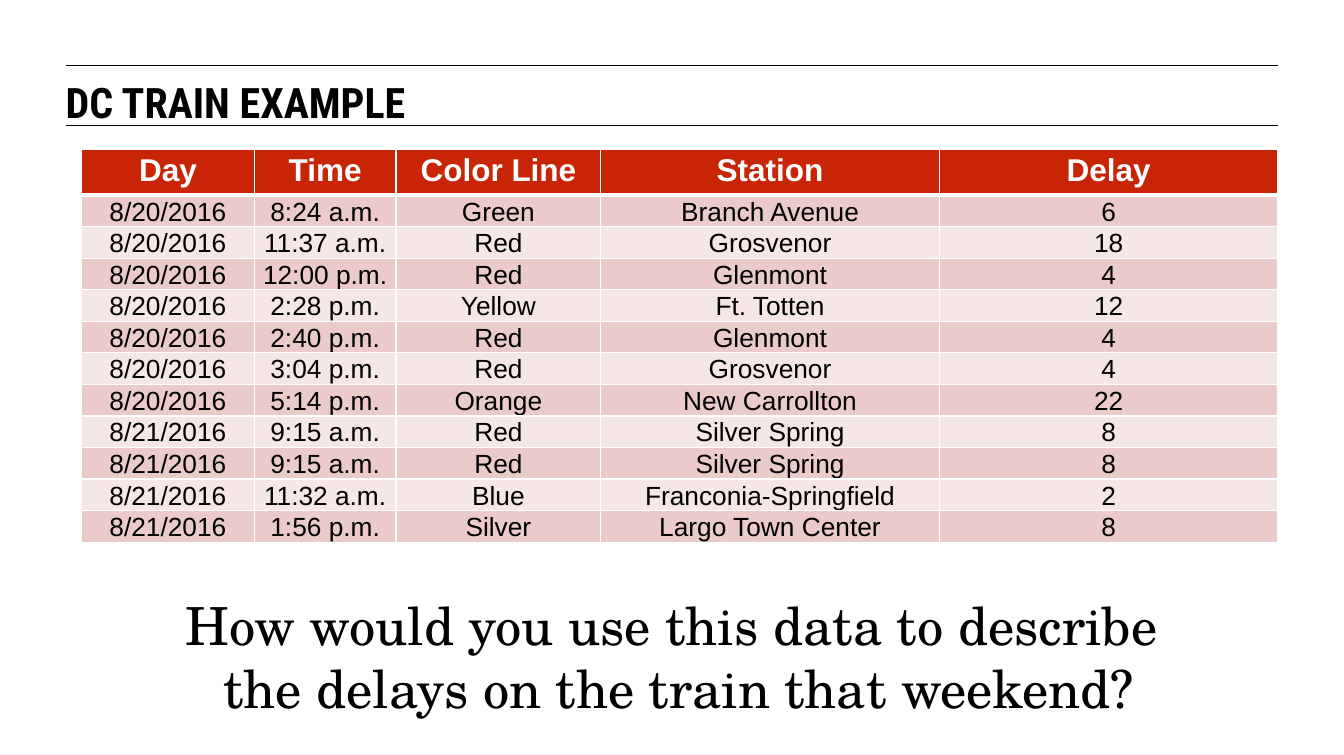
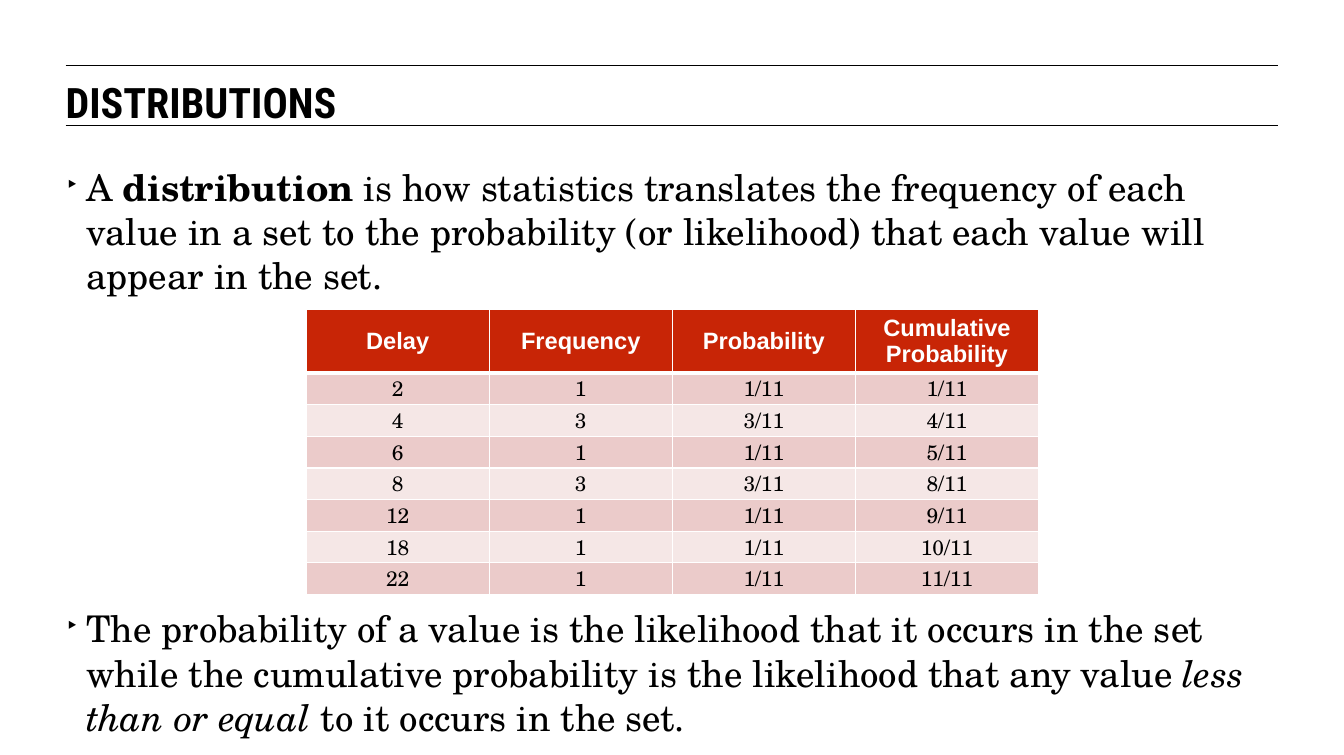
from lxml import etree
from pptx import Presentation
from pptx.dml.color import RGBColor
from pptx.enum.shapes import MSO_CONNECTOR
from pptx.enum.text import MSO_ANCHOR, PP_ALIGN
from pptx.oxml.ns import qn
from pptx.util import Pt

LEFT, CENTER = PP_ALIGN.LEFT, PP_ALIGN.CENTER
TOP, MIDDLE, BOTTOM = MSO_ANCHOR.TOP, MSO_ANCHOR.MIDDLE, MSO_ANCHOR.BOTTOM
STRAIGHT = MSO_CONNECTOR.STRAIGHT

COLORS = {"ink": "000000", "paper": "FFFFFF", "header": "C82506",
          "band_dark": "EBCBCA", "band_light": "F5E7E6"}
TITLE_FONT, TABLE_FONT, BODY_FONT = "Roboto Condensed", "Arial", "TeX Gyre Schola"

SLIDE_W, SLIDE_H = 1024, 575.5
MARGIN, CONTENT_W = 50, 924
RULES_Y = (50, 96)
TITLE_Y, TITLE_H = 58.5, 34

DELAYS = [
    ("Day", "Time", "Color Line", "Station", "Delay"),
    ("8/20/2016", "8:24 a.m.", "Green", "Branch Avenue", "6"),
    ("8/20/2016", "11:37 a.m.", "Red", "Grosvenor", "18"),
    ("8/20/2016", "12:00 p.m.", "Red", "Glenmont", "4"),
    ("8/20/2016", "2:28 p.m.", "Yellow", "Ft. Totten", "12"),
    ("8/20/2016", "2:40 p.m.", "Red", "Glenmont", "4"),
    ("8/20/2016", "3:04 p.m.", "Red", "Grosvenor", "4"),
    ("8/20/2016", "5:14 p.m.", "Orange", "New Carrollton", "22"),
    ("8/21/2016", "9:15 a.m.", "Red", "Silver Spring", "8"),
    ("8/21/2016", "9:15 a.m.", "Red", "Silver Spring", "8"),
    ("8/21/2016", "11:32 a.m.", "Blue", "Franconia-Springfield", "2"),
    ("8/21/2016", "1:56 p.m.", "Silver", "Largo Town Center", "8"),
]
DELAY_COLS = (131.5, 108, 156, 258, 258)
QUESTION = ["How would you use this data to describe ",
            "the delays on the train that weekend?"]

DISTRIBUTION = [
    ("Delay", "Frequency", "Probability", "Cumulative Probability"),
    ("2", "1", "1/11", "1/11"),
    ("4", "3", "3/11", "4/11"),
    ("6", "1", "1/11", "5/11"),
    ("8", "3", "3/11", "8/11"),
    ("12", "1", "1/11", "9/11"),
    ("18", "1", "1/11", "10/11"),
    ("22", "1", "1/11", "11/11"),
]
DISTRIBUTION_COLS = (139.5,) * 4
BULLETS = [
    [("A ", ""), ("distribution", "b"),
     (" is how statistics translates the frequency of each value in a set to the "
      "probability (or likelihood) that each value will appear in the set.", "")],
    [("The probability of a value is the likelihood that it occurs in the set while "
      "the cumulative probability is the likelihood that any value ", ""),
     ("less than or equal", "i"), (" to it occurs in the set.", "")],
]
BULLET_GAP = 235.5


def rgb(name):
    return RGBColor.from_string(COLORS[name])


def add_run(p, text, font, size, color="ink", style=""):
    r = p.add_run()
    r.text = text
    r.font.name, r.font.size = font, Pt(size)
    r.font.color.rgb = rgb(color)
    r.font.bold, r.font.italic = "b" in style, "i" in style


def add_text(s, x, y, w, h, paragraphs, font, size, align=LEFT):
    """Each paragraph is a list of (text, style) runs."""
    tf = s.shapes.add_textbox(Pt(x), Pt(y), Pt(w), Pt(h)).text_frame
    tf.word_wrap = True
    tf.margin_left = tf.margin_top = tf.margin_right = tf.margin_bottom = 0
    for i, runs in enumerate(paragraphs):
        p = tf.add_paragraph() if i else tf.paragraphs[0]
        p.alignment = align
        for text, style in runs:
            add_run(p, text, font, size, style=style)
    return tf


def add_bullet(p, indent):
    pPr = p._p.get_or_add_pPr()
    pPr.set("marL", str(Pt(indent)))
    pPr.set("indent", str(-Pt(indent)))
    color = etree.SubElement(pPr, qn("a:buClr"))
    etree.SubElement(color, qn("a:srgbClr"), val=COLORS["ink"])
    etree.SubElement(pPr, qn("a:buSzPct"), val="60000")
    etree.SubElement(pPr, qn("a:buChar"), char="‣")


def set_borders(cell, row):
    """White grid, with a heavier line under the header row."""
    tcPr = cell._tc.get_or_add_tcPr()
    heavy = {0: "B", 1: "T"}.get(row)
    for i, side in enumerate("LRTB"):
        ln = etree.Element(qn(f"a:ln{side}"), w=str(Pt(3 if side == heavy else 1)))
        fill = etree.SubElement(ln, qn("a:solidFill"))
        etree.SubElement(fill, qn("a:srgbClr"), val=COLORS["paper"])
        tcPr.insert(i, ln)


def add_data_table(s, x, y, rows, cols, header, body):
    """header and body hold font, size, row height, anchor and bottom inset."""
    heights = [header["height"]] + [body["height"]] * (len(rows) - 1)
    table = s.shapes.add_table(len(rows), len(cols), Pt(x), Pt(y),
                               Pt(sum(cols)), Pt(sum(heights))).table
    for column, width in zip(table.columns, cols):
        column.width = Pt(width)
    for i, values in enumerate(rows):
        table.rows[i].height = Pt(heights[i])
        look = body if i else header
        band = ("band_dark" if i % 2 else "band_light") if i else "header"
        for j, value in enumerate(values):
            cell = table.cell(i, j)
            cell.margin_left = cell.margin_right = Pt(0.5 if i else 7.2)
            cell.margin_top = Pt(0 if i else look["inset"])
            cell.margin_bottom = Pt(look["inset"])
            cell.vertical_anchor = look["anchor"]
            cell.fill.solid()
            cell.fill.fore_color.rgb = rgb(band)
            set_borders(cell, i)
            p = cell.text_frame.paragraphs[0]
            p.alignment = CENTER
            add_run(p, value, look["font"], look["size"],
                    "ink" if i else "paper", "" if i else "b")


def add_titled_slide(prs, title):
    s = prs.slides.add_slide(prs.slide_layouts[6])
    for y in RULES_Y:
        rule = s.shapes.add_connector(STRAIGHT, Pt(MARGIN), Pt(y),
                                      Pt(MARGIN + CONTENT_W), Pt(y))
        rule.line.color.rgb = rgb("ink")
        rule.line.width = Pt(0.75)
        etree.SubElement(rule._element.spPr, qn("a:effectLst"))
    add_text(s, MARGIN, TITLE_Y, CONTENT_W, TITLE_H, [[(title, "b")]], TITLE_FONT, 32)
    return s


def build_train_delays(prs):
    s = add_titled_slide(prs, "DC TRAIN EXAMPLE")
    add_data_table(
        s, 62.25, 114, DELAYS, DELAY_COLS,
        dict(font=TABLE_FONT, size=24, height=34, anchor=TOP, inset=3),
        dict(font=TABLE_FONT, size=20, height=23, anchor=BOTTOM, inset=0))
    add_text(s, 60.5, 452, 913.5, 57, [[(line, "")] for line in QUESTION],
             BODY_FONT, 40, CENTER)


def build_distributions(prs):
    s = add_titled_slide(prs, "DISTRIBUTIONS")
    tf = add_text(s, MARGIN, 125.75, CONTENT_W, 437, BULLETS, BODY_FONT, 28)
    for i, p in enumerate(tf.paragraphs):
        if i:
            p.space_before = Pt(BULLET_GAP)
        add_bullet(p, 15.75)
    add_data_table(
        s, 233.25, 235.75, DISTRIBUTION, DISTRIBUTION_COLS,
        dict(font=TABLE_FONT, size=18, height=47, anchor=MIDDLE, inset=2.75),
        dict(font=BODY_FONT, size=16, height=24.1, anchor=BOTTOM, inset=1))


def main():
    prs = Presentation()
    prs.slide_width, prs.slide_height = Pt(SLIDE_W), Pt(SLIDE_H)
    build_train_delays(prs)
    build_distributions(prs)
    prs.save("out.pptx")


if __name__ == "__main__":
    main()
